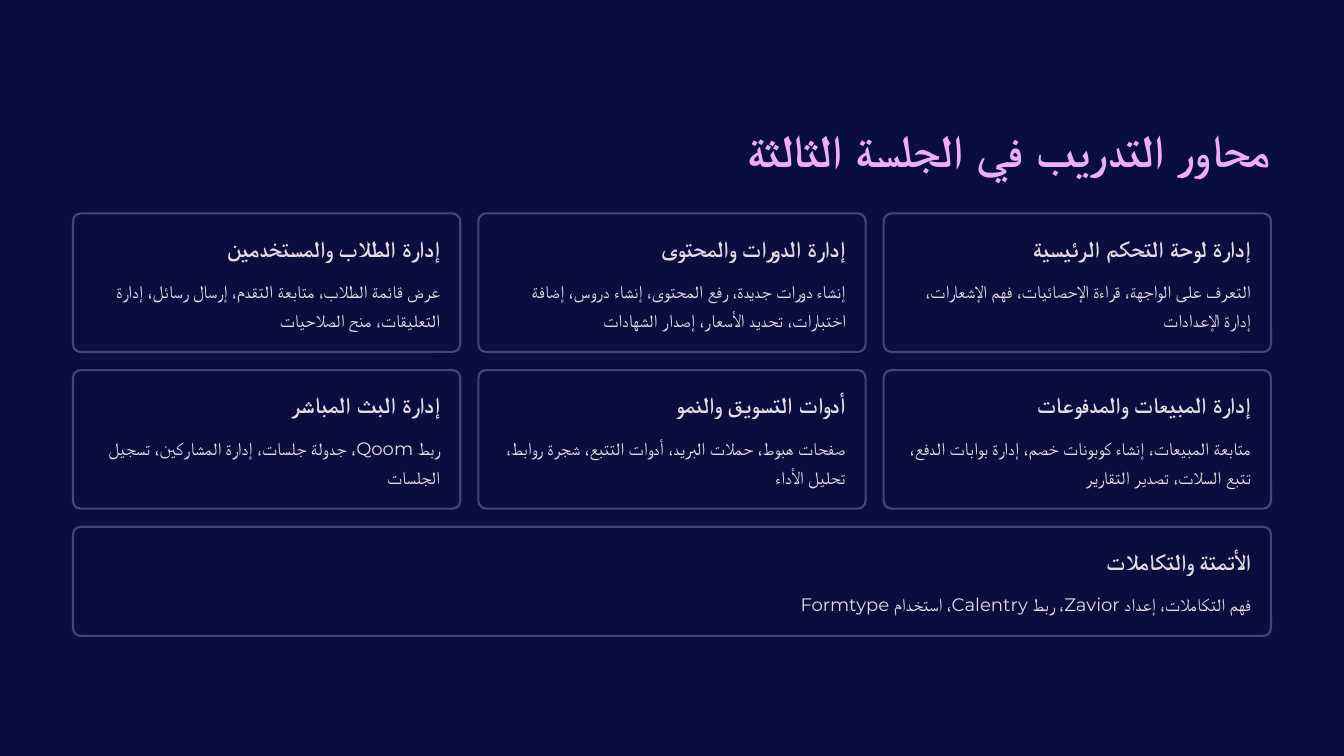
from dataclasses import dataclass

import pptx
import pptx.dml.color
import pptx.enum.shapes
import pptx.enum.text
import pptx.shapes.autoshape
import pptx.slide
import pptx.util

COLORS = {
    "night": "090E3F",
    "border": "414677",
    "heading": "EEAEF6",
    "text": "E5DCE6",
}

SLIDE_WIDTH = 1152
SLIDE_HEIGHT = 648
LEFT = 62.6
TOP = 182.9
FULL_WIDTH = 1026.8
COLUMNS = 3
GAP = 15.5
COLUMN_WIDTH = (FULL_WIDTH - (COLUMNS - 1) * GAP) / COLUMNS
CARD_HEIGHT = 118.8
WIDE_CARD_HEIGHT = 93.6
INSET = 17.3
DETAILS_OFFSET = 51.1
CORNER_RADIUS = 6.55


@dataclass(frozen=True)
class TextStyle:
    font: str
    size: float
    line_height: float
    color: str
    bold: bool = False


@dataclass(frozen=True)
class Box:
    left: float
    top: float
    width: float
    height: float

    def lengths(self) -> list[pptx.util.Length]:
        return [pptx.util.Pt(v) for v in (self.left, self.top, self.width, self.height)]


@dataclass(frozen=True)
class Topic:
    title: str
    details: str


HEADING = TextStyle("Arial", 39, 48.5, "heading", True)
TOPIC_TITLE = TextStyle("Arial", 19.5, 24, "text", True)
TOPIC_DETAILS = TextStyle("Montserrat", 15.5, 25, "text")

TOPICS = [
    Topic("إدارة لوحة التحكم الرئيسية",
          "التعرف على الواجهة، قراءة الإحصائيات، فهم الإشعارات، إدارة الإعدادات"),
    Topic("إدارة الدورات والمحتوى",
          "إنشاء دورات جديدة، رفع المحتوى، إنشاء دروس، إضافة اختبارات، تحديد الأسعار، إصدار الشهادات"),
    Topic("إدارة الطلاب والمستخدمين",
          "عرض قائمة الطلاب، متابعة التقدم، إرسال رسائل، إدارة التعليقات، منح الصلاحيات"),
    Topic("إدارة المبيعات والمدفوعات",
          "متابعة المبيعات، إنشاء كوبونات خصم، إدارة بوابات الدفع، تتبع السلات، تصدير التقارير"),
    Topic("أدوات التسويق والنمو",
          "صفحات هبوط، حملات البريد، أدوات التتبع، شجرة روابط، تحليل الأداء"),
    Topic("إدارة البث المباشر",
          "ربط Qoom، جدولة جلسات، إدارة المشاركين، تسجيل الجلسات"),
]
INTEGRATIONS = Topic("الأتمتة والتكاملات",
                     "فهم التكاملات، إعداد Zavior، ربط Calentry، استخدام Formtype")


def rgb(name: str) -> pptx.dml.color.RGBColor:
    return pptx.dml.color.RGBColor.from_string(COLORS[name])


def add_panel(slide: pptx.slide.Slide, box: Box,
              kind: pptx.enum.shapes.MSO_SHAPE) -> pptx.shapes.autoshape.Shape:
    panel = slide.shapes.add_shape(kind, *box.lengths())
    panel.shadow.inherit = False
    panel.fill.solid()
    panel.fill.fore_color.rgb = rgb("night")
    return panel


def add_text(slide: pptx.slide.Slide, box: Box, text: str, style: TextStyle) -> None:
    frame = slide.shapes.add_textbox(*box.lengths()).text_frame
    frame.word_wrap = True
    frame.margin_left = frame.margin_right = frame.margin_top = frame.margin_bottom = 0
    paragraph = frame.paragraphs[0]
    paragraph.alignment = pptx.enum.text.PP_ALIGN.RIGHT
    paragraph.line_spacing = pptx.util.Pt(style.line_height)
    paragraph._p.get_or_add_pPr().set("rtl", "1")
    run = paragraph.add_run()
    run.text = text
    run.font.name = style.font
    run.font.size = pptx.util.Pt(style.size)
    run.font.bold = style.bold
    run.font.color.rgb = rgb(style.color)


def add_card(slide: pptx.slide.Slide, box: Box, topic: Topic) -> None:
    card = add_panel(slide, box, pptx.enum.shapes.MSO_SHAPE.ROUNDED_RECTANGLE)
    card.adjustments[0] = CORNER_RADIUS / box.height
    card.line.color.rgb = rgb("border")
    card.line.width = pptx.util.Pt(1.8)

    left, width = box.left + INSET, box.width - 2 * INSET
    add_text(slide, Box(left, box.top + INSET, width, TOPIC_TITLE.line_height),
             topic.title, TOPIC_TITLE)
    details_height = box.height - DETAILS_OFFSET - INSET
    add_text(slide, Box(left, box.top + DETAILS_OFFSET, width, details_height),
             topic.details, TOPIC_DETAILS)


def main() -> None:
    deck = pptx.Presentation()
    deck.slide_width = pptx.util.Pt(SLIDE_WIDTH)
    deck.slide_height = pptx.util.Pt(SLIDE_HEIGHT)
    slide = deck.slides.add_slide(deck.slide_layouts[6])

    backdrop = add_panel(slide, Box(0, 0, SLIDE_WIDTH, SLIDE_HEIGHT),
                         pptx.enum.shapes.MSO_SHAPE.RECTANGLE)
    backdrop.line.fill.background()

    add_text(slide, Box(LEFT, 103, FULL_WIDTH, 49),
             "محاور التدريب في الجلسة الثالثة", HEADING)

    for index, topic in enumerate(TOPICS):
        row, column = divmod(index, COLUMNS)
        left = LEFT + (COLUMNS - 1 - column) * (COLUMN_WIDTH + GAP)
        top = TOP + row * (CARD_HEIGHT + GAP)
        add_card(slide, Box(left, top, COLUMN_WIDTH, CARD_HEIGHT), topic)

    rows = len(TOPICS) // COLUMNS
    wide_top = TOP + rows * (CARD_HEIGHT + GAP)
    add_card(slide, Box(LEFT, wide_top, FULL_WIDTH, WIDE_CARD_HEIGHT), INTEGRATIONS)

    deck.save("out.pptx")


if __name__ == "__main__":
    main()
